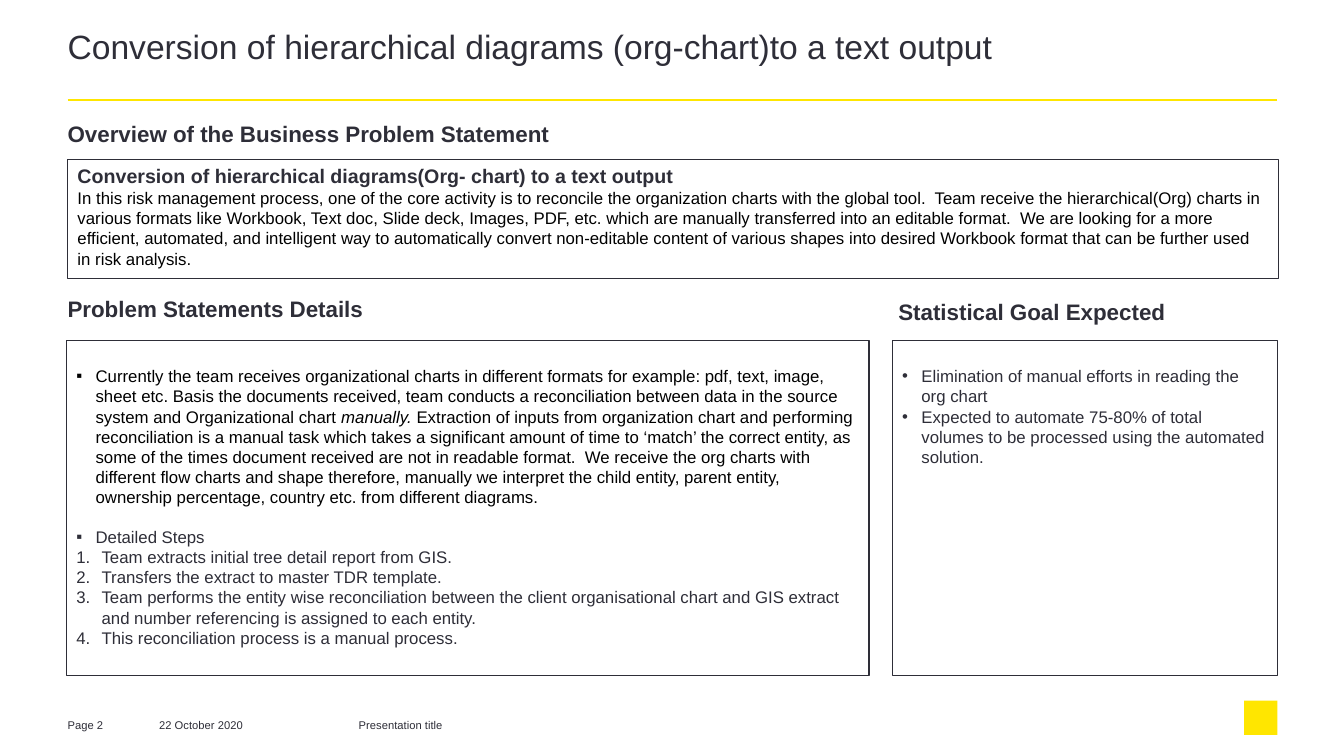
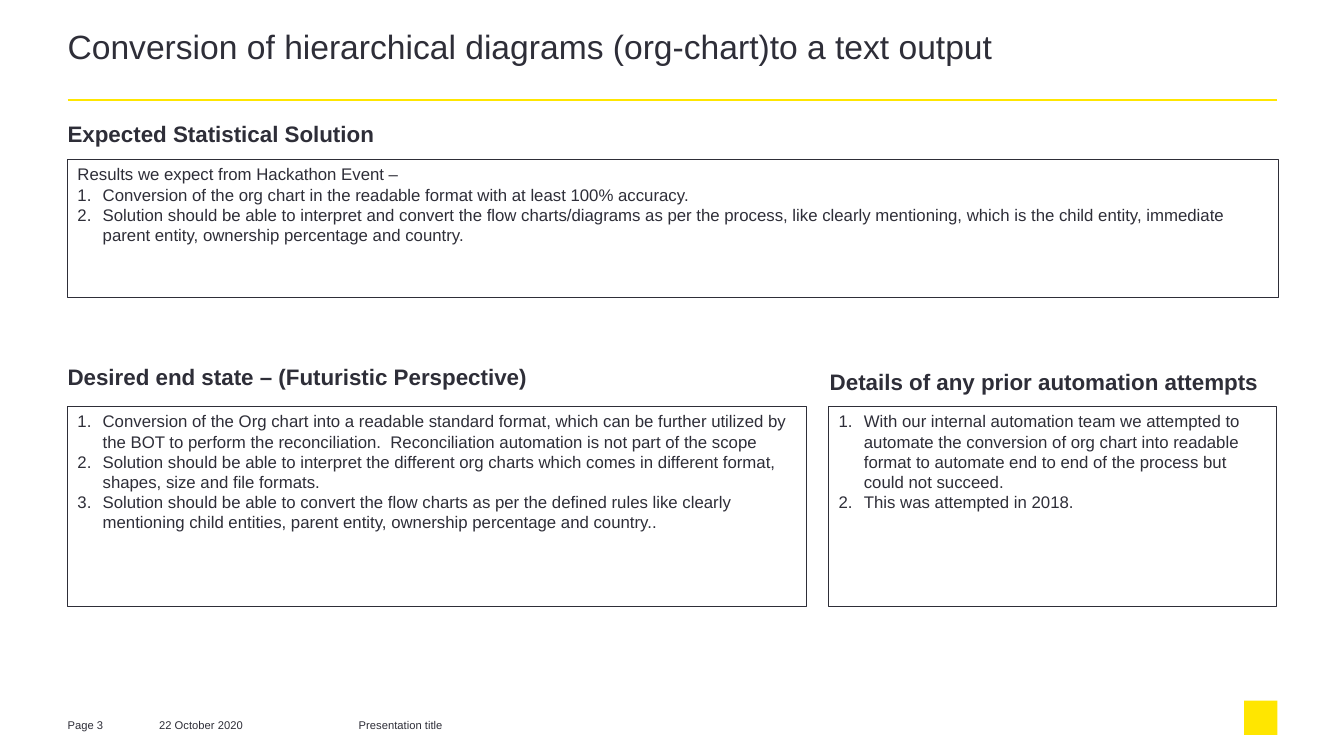
from dataclasses import dataclass

from lxml import etree
from pptx import Presentation
from pptx.dml.color import RGBColor
from pptx.enum.shapes import MSO_CONNECTOR, MSO_SHAPE
from pptx.enum.text import MSO_ANCHOR, MSO_AUTO_SIZE, PP_ALIGN
from pptx.oxml.ns import qn
from pptx.util import Inches, Pt

TITLE = "Conversion of hierarchical diagrams (org-chart)to a text output"
INK = "2E2E38"
BLACK = "000000"
YELLOW = "FFE600"
NUMBER = "number"
HANGING = {"▪": 0.19, "•": 0.19, NUMBER: 0.25}


def rgb(value):
    return RGBColor.from_string(value)


@dataclass
class Item:
    text: str
    marker: str = ""
    size: float = 12
    bold: bool = False
    color: str = INK
    gap: float = 0
    spacing: float = 1.0


def numbered(*texts):
    return [Item(text, NUMBER) for text in texts]


class Deck:
    font = "Arial"
    left = 0.67
    width = 12.01
    right = 12.67

    def __init__(self):
        self.presentation = Presentation()
        self.presentation.slide_width = Inches(13.33)
        self.presentation.slide_height = Inches(7.5)
        self.slide = None

    def new_slide(self, title, page):
        layout = self.presentation.slide_layouts[5]
        self.slide = self.presentation.slides.add_slide(layout)
        self.title(title)
        self.rule(0.99)
        self.footer(f"Page {page}", self.left, 0.72, 0)
        self.footer("22 October 2020", 1.48, 1.3)
        self.footer("Presentation title", 3.46, 3.37)
        self.emblem()

    def title(self, text):
        heading = self.slide.shapes.title
        heading.left, heading.top = Inches(self.left), Inches(0.32)
        heading.width, heading.height = Inches(12), Inches(0.65)
        self.set_text(heading.text_frame, [Item(text, size=24, spacing=0.85)], (0, 0, 0, 0))

    def rule(self, top):
        line = self.slide.shapes.add_connector(
            MSO_CONNECTOR.STRAIGHT, Inches(self.left), Inches(top), Inches(self.right), Inches(top)
        )
        line.line.color.rgb = rgb(YELLOW)
        line.line.width = Pt(1.5)
        etree.SubElement(line._element.spPr, qn("a:effectLst"))

    def emblem(self):
        block = self.rectangle(12.34, 6.95, 0.33, 0.34)
        block.fill.solid()
        block.fill.fore_color.rgb = rgb(YELLOW)
        block.line.fill.background()

    def rectangle(self, left, top, width, height):
        shape = self.slide.shapes.add_shape(
            MSO_SHAPE.RECTANGLE, Inches(left), Inches(top), Inches(width), Inches(height)
        )
        shape.shadow.inherit = False
        return shape

    def text(self, item, left, top, width, height, insets):
        area = self.slide.shapes.add_textbox(
            Inches(left), Inches(top), Inches(width), Inches(height)
        )
        self.set_text(area.text_frame, [item], insets)

    def footer(self, text, left, width, inset=0.1):
        self.text(Item(text, size=8), left, 7.08, width, 0.2, (inset, 0.05, 0.1, 0.05))

    def heading(self, text, left, top, width, height=0.3):
        item = Item(text, size=16, bold=True, spacing=0.85)
        self.text(item, left, top, width, height, (0, 0, 0, 0))

    def panel(self, items, left, top, width, height, top_inset=0.05):
        frame = self.rectangle(left, top, width, height)
        frame.fill.background()
        frame.line.color.rgb = rgb(INK)
        frame.line.width = Pt(0.75)
        self.set_text(frame.text_frame, items, (0.1, top_inset, 0.1, 0.05))

    def set_text(self, frame, items, insets):
        frame.word_wrap = True
        frame.auto_size = MSO_AUTO_SIZE.NONE
        frame.vertical_anchor = MSO_ANCHOR.TOP
        frame.margin_left, frame.margin_top, frame.margin_right, frame.margin_bottom = map(
            Inches, insets
        )
        for index, item in enumerate(items):
            paragraph = frame.add_paragraph() if index else frame.paragraphs[0]
            self.bullet(paragraph, item.marker)
            paragraph.alignment = PP_ALIGN.LEFT
            paragraph.line_spacing = item.spacing
            paragraph.space_before = Pt(item.gap)
            paragraph.font.name = self.font
            paragraph.font.size = Pt(item.size)
            paragraph.font.bold = item.bold
            paragraph.font.color.rgb = rgb(item.color)
            for position, part in enumerate(item.text.split("*")):
                run = paragraph.add_run()
                run.text = part
                if position % 2:
                    run.font.italic = True

    def bullet(self, paragraph, marker):
        if not marker:
            return
        properties = paragraph._p.get_or_add_pPr()
        indent = Inches(HANGING[marker])
        properties.set("marL", str(indent))
        properties.set("indent", str(-indent))
        if marker == NUMBER:
            etree.SubElement(properties, qn("a:buAutoNum"), type="arabicPeriod")
        else:
            etree.SubElement(properties, qn("a:buFont"), typeface=self.font)
            etree.SubElement(properties, qn("a:buChar"), char=marker)


def problem_slide(deck):
    deck.new_slide(TITLE, 2)
    deck.heading("Overview of the Business Problem Statement", deck.left, 1.23, deck.width, 0.35)
    overview = [
        Item("Conversion of hierarchical diagrams(Org- chart) to a text output", size=14, bold=True),
        Item(
            "In this risk management process, one of the core activity is to reconcile the "
            "organization charts with the global tool.  Team receive the hierarchical(Org) charts "
            "in various formats like Workbook, Text doc, Slide deck, Images, PDF, etc. which are "
            "manually transferred into an editable format.  We are looking for a more efficient, "
            "automated, and intelligent way to automatically convert non-editable content of "
            "various shapes into desired Workbook format that can be further used in risk analysis.",
            color=BLACK,
        ),
    ]
    deck.panel(overview, deck.left, 1.58, deck.width, 1.18)

    deck.heading("Problem Statements Details", deck.left, 2.97, 3.65)
    details = [
        Item(
            "Currently the team receives organizational charts in different formats for example: "
            "pdf, text, image, sheet etc. Basis the documents received, team conducts a "
            "reconciliation between data in the source system and Organizational chart "
            "*manually.* Extraction of inputs from organization chart and performing "
            "reconciliation is a manual task which takes a significant amount of time to ‘match’ "
            "the correct entity, as some of the times document received are not in readable "
            "format.  We receive the org charts with different flow charts and shape therefore, "
            "manually we interpret the child entity, parent entity, ownership percentage, country "
            "etc. from different diagrams.",
            "▪",
            color=BLACK,
        ),
        Item("Detailed Steps", "▪", gap=14),
        *numbered(
            "Team extracts initial tree detail report from GIS.",
            "Transfers the extract to master TDR template.",
            "Team performs the entity wise reconciliation between the client organisational chart "
            "and GIS extract and number referencing is assigned to each entity.",
            "This reconciliation process is a manual process.",
        ),
    ]
    deck.panel(details, 0.66, 3.38, 7.96, 3.32, 0.25)

    deck.heading("Statistical Goal Expected", 8.91, 3, 3.91)
    goals = [
        Item("Elimination of manual efforts in reading the org chart", "•"),
        Item(
            "Expected to automate 75-80% of total volumes to be processed using the automated "
            "solution.",
            "•",
        ),
    ]
    deck.panel(goals, 8.85, 3.38, 3.82, 3.32, 0.25)


def solution_slide(deck):
    deck.new_slide(TITLE, 3)
    deck.heading("Expected Statistical Solution", deck.left, 1.23, deck.width, 0.35)
    results = [
        Item("Results we expect from Hackathon Event –"),
        *numbered(
            "Conversion of the org chart in the readable format with at least 100% accuracy.",
            "Solution should be able to interpret and convert the flow charts/diagrams as per the "
            "process, like clearly mentioning, which is the child entity, immediate parent entity, "
            "ownership percentage and country.",
        ),
    ]
    deck.panel(results, deck.left, 1.58, deck.width, 1.37)

    deck.heading("Desired end state – (Futuristic Perspective)", deck.left, 3.64, 4.83)
    end_state = numbered(
        "Conversion of the Org chart into a readable standard format, which can be further "
        "utilized by the BOT to perform the reconciliation.  Reconciliation automation is not "
        "part of the scope",
        "Solution should be able to interpret the different org charts which comes in different "
        "format, shapes, size and file formats.",
        "Solution should be able to convert the flow charts as per the defined rules like clearly "
        "mentioning child entities, parent entity, ownership percentage and country..",
    )
    deck.panel(end_state, deck.left, 4.03, 7.33, 1.99)

    deck.heading("Details of any prior automation attempts", 8.23, 3.69, 4.83)
    attempts = numbered(
        "With our internal automation team we attempted to automate the conversion of org chart "
        "into readable format to automate end to end of the process but could not succeed.",
        "This was attempted in 2018.",
    )
    deck.panel(attempts, 8.22, 4.03, 4.44, 1.99)


def main():
    deck = Deck()
    problem_slide(deck)
    solution_slide(deck)
    deck.presentation.save("out.pptx")


if __name__ == "__main__":
    main()
